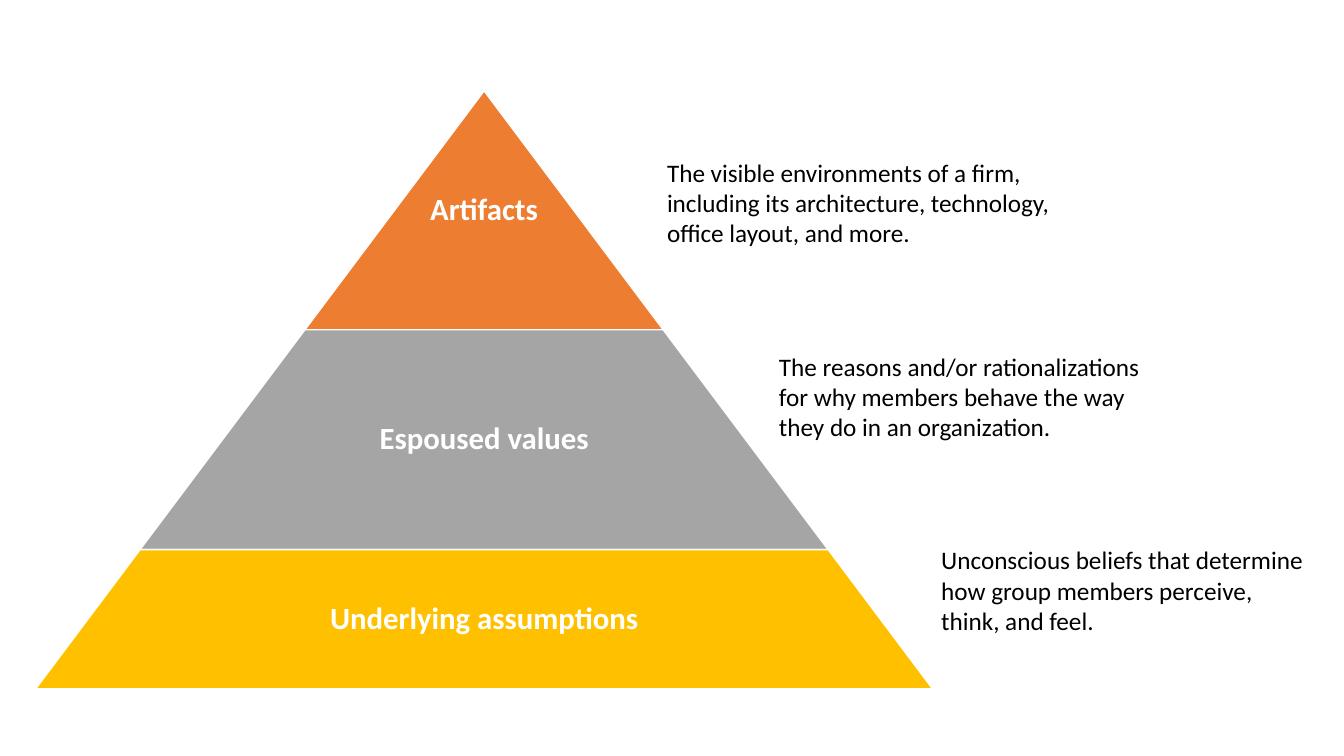
from dataclasses import dataclass

from pptx import Presentation
from pptx.dml.color import RGBColor as RGB
from pptx.enum.shapes import MSO_SHAPE as SHAPE
from pptx.enum.text import MSO_ANCHOR as ANCHOR, PP_ALIGN as ALIGN
from pptx.util import Cm, Pt


@dataclass(frozen=True)
class Theme:
    font: str = "Calibri"
    white: RGB = RGB(0xFF, 0xFF, 0xFF)
    black: RGB = RGB(0, 0, 0)
    orange: RGB = RGB(0xED, 0x7D, 0x31)
    grey: RGB = RGB(0xA5, 0xA5, 0xA5)
    gold: RGB = RGB(0xFF, 0xC0, 0x00)
    label_size: Pt = Pt(22)
    note_size: Pt = Pt(18)
    outline: Pt = Pt(1)


THEME = Theme()
SLOPE = 0.75  # horizontal run of each side per unit of height

# label, fill, height in cm
TIERS = [
    ("Artifacts", THEME.orange, 6.02),
    ("Espoused values", THEME.grey, 5.54),
    ("Underlying assumptions", THEME.gold, 3.51),
]
# text, left and width in cm
NOTES = [
    ("The visible environments of a firm, including its architecture, "
     "technology, office layout, and more.", 16.56, 10.24),
    ("The reasons and/or rationalizations for why members behave the way "
     "they do in an organization.", 19.38, 10.24),
    ("Unconscious beliefs that determine how group members perceive, "
     "think, and feel.", 23.47, 9.75),
]


def add_text(s, text, box, font, frame=None, para=None):
    """Add a one-paragraph text box; box is left, top, width, height in cm."""
    tf = s.shapes.add_textbox(*map(Cm, box)).text_frame
    p = tf.paragraphs[0]
    r = p.add_run()
    r.text = text
    formats = [(tf, {"word_wrap": True, **(frame or {})}), (p, para or {}),
               (r.font, {"name": THEME.font, **font})]
    for target, values in formats:
        for name, value in values.items():
            setattr(target, name, value)
    r.font.color.rgb = font_color(font)


def font_color(font):
    """Labels are bold and white, notes are black."""
    return THEME.white if font.get("bold") else THEME.black


def add_tier(s, label, fill, box):
    left, top, width, height = box
    tier = s.shapes.add_shape(SHAPE.TRAPEZOID, *map(Cm, box))
    tier.adjustments[0] = SLOPE
    tier.shadow.inherit = False
    tier.fill.solid()
    tier.fill.fore_color.rgb = fill
    tier.line.color.rgb = THEME.white
    tier.line.width = THEME.outline
    margins = {f"margin_{side}": Cm(0.08)
               for side in ("left", "top", "right", "bottom")}
    add_text(s, label, box, {"size": THEME.label_size, "bold": True},
             {"vertical_anchor": ANCHOR.MIDDLE, **margins},
             {"alignment": ALIGN.CENTER, "line_spacing": 0.9})


def add_pyramid(s, center, top):
    """Stack the tiers downwards from the apex at center, top."""
    depth = 0
    for label, fill, height in TIERS:
        bottom = depth + height
        half = SLOPE * bottom
        add_tier(s, label, fill,
                 (center - half, top + depth, 2 * half, height))
        depth = bottom


def add_notes(s, top, step, height):
    for i, (text, left, width) in enumerate(NOTES):
        add_text(s, text, (left, top + i * step, width, height),
                 {"size": THEME.note_size})


def main():
    prs = Presentation()
    prs.slide_width, prs.slide_height = Cm(33.87), Cm(19.05)
    s = prs.slides.add_slide(prs.slide_layouts[6])
    add_pyramid(s, center=12.2, top=2.29)
    add_notes(s, top=3.84, step=4.88, height=2.57)
    prs.save("out.pptx")


if __name__ == "__main__":
    main()
